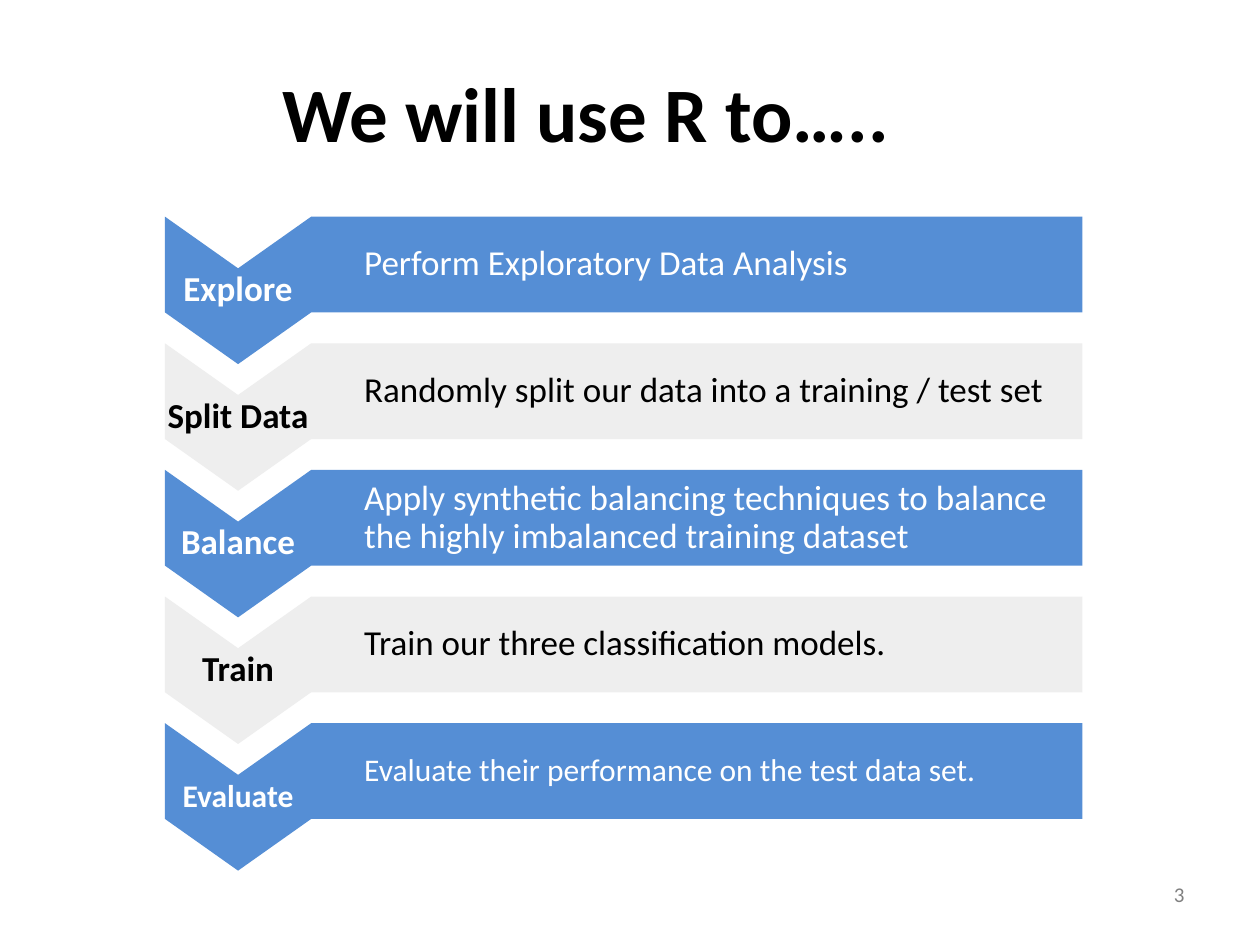
"""Build a slide listing five steps as chevrons with description bars."""
from pptx import Presentation
from pptx import util as u
from pptx.dml.color import RGBColor
from pptx.enum import shapes, text

TITLE = "We will use R to….."
PAGE = "3"
STEPS = [
    ("Explore", "Perform Exploratory Data Analysis", 20),
    ("Split Data", "Randomly split our data into a training / test set", 20),
    ("Balance", "Apply synthetic balancing techniques to balance "
                "the highly imbalanced training dataset", 20),
    ("Train", "Train our three classification models.", 20),
    ("Evaluate", "Evaluate their performance on the test data set.", 18),
]
THEMES = [("558ED5", "FFFFFF"), ("EEEEEE", "000000")]

LEFT, FIRST_TOP, LAST_TOP = 1.31, 1.72, 5.74
CHEVRON_WIDTH, POINT_DEPTH = 1.16, 0.41
BAR_WIDTH, BAR_HEIGHT = 6.12, 0.76
PITCH = (LAST_TOP - FIRST_TOP) / (len(STEPS) - 1)


def color(value):
    return RGBColor.from_string(value)


def write(shape, words, size, ink, bold=False, align="LEFT", anchor="MIDDLE",
          insets=(0.1, 0.05, 0.1, 0.05), spacing=1.0):
    frame = shape.text_frame
    frame.word_wrap = True
    frame.vertical_anchor = text.MSO_ANCHOR[anchor]
    (frame.margin_left, frame.margin_top,
     frame.margin_right, frame.margin_bottom) = map(u.Inches, insets)
    paragraph = frame.paragraphs[0]
    paragraph.alignment = text.PP_ALIGN[align]
    paragraph.line_spacing = spacing
    run = paragraph.add_run()
    run.text = words
    run.font.name = "Calibri"
    run.font.size = u.Pt(size)
    run.font.bold = bold
    run.font.color.rgb = color(ink)


def paint(shape, fill):
    shape.shadow.inherit = False
    shape.fill.solid()
    shape.fill.fore_color.rgb = color(fill)
    shape.line.fill.background()


def add_chevron(slide, top):
    right, middle = LEFT + CHEVRON_WIDTH, LEFT + CHEVRON_WIDTH / 2
    corners = [(right, top), (right, top + BAR_HEIGHT),
               (middle, top + BAR_HEIGHT + POINT_DEPTH),
               (LEFT, top + BAR_HEIGHT), (LEFT, top),
               (middle, top + POINT_DEPTH)]
    start, *rest = [(u.Inches(x), u.Inches(y)) for x, y in corners]
    outline = slide.shapes.build_freeform(*start)
    outline.add_line_segments(rest, close=True)
    return outline.convert_to_shape()


def add_step(slide, top, step, theme):
    label, description, size = step
    fill, ink = theme
    chevron = add_chevron(slide, top)
    paint(chevron, fill)
    write(chevron, label, size, ink, bold=True, align="CENTER",
          insets=(0.01, 0.43, 0.01, 0.43), spacing=0.9)
    bar = slide.shapes.add_shape(
        shapes.MSO_SHAPE.RECTANGLE, u.Inches(LEFT + CHEVRON_WIDTH),
        u.Inches(top), u.Inches(BAR_WIDTH), u.Inches(BAR_HEIGHT))
    paint(bar, fill)
    write(bar, description, size, ink,
          insets=(0.42, 0.04, 0.04, 0.04), spacing=0.9)


def main():
    deck = Presentation()
    deck.slide_width, deck.slide_height = u.Inches(10), u.Inches(7.5)
    slide = deck.slides.add_slide(deck.slide_layouts[6])
    title = slide.shapes.add_textbox(*map(u.Inches, (0.3, 0.4, 8.7, 0.97)))
    write(title, TITLE, 44, "000000", bold=True, align="CENTER")
    for index, step in enumerate(STEPS):
        add_step(slide, FIRST_TOP + index * PITCH, step,
                 THEMES[index % len(THEMES)])
    page = slide.shapes.add_textbox(*map(u.Inches, (7.17, 6.95, 2.33, 0.4)))
    write(page, PAGE, 12, "808080", align="RIGHT", anchor="TOP")
    deck.save("out.pptx")


if __name__ == "__main__":
    main()
